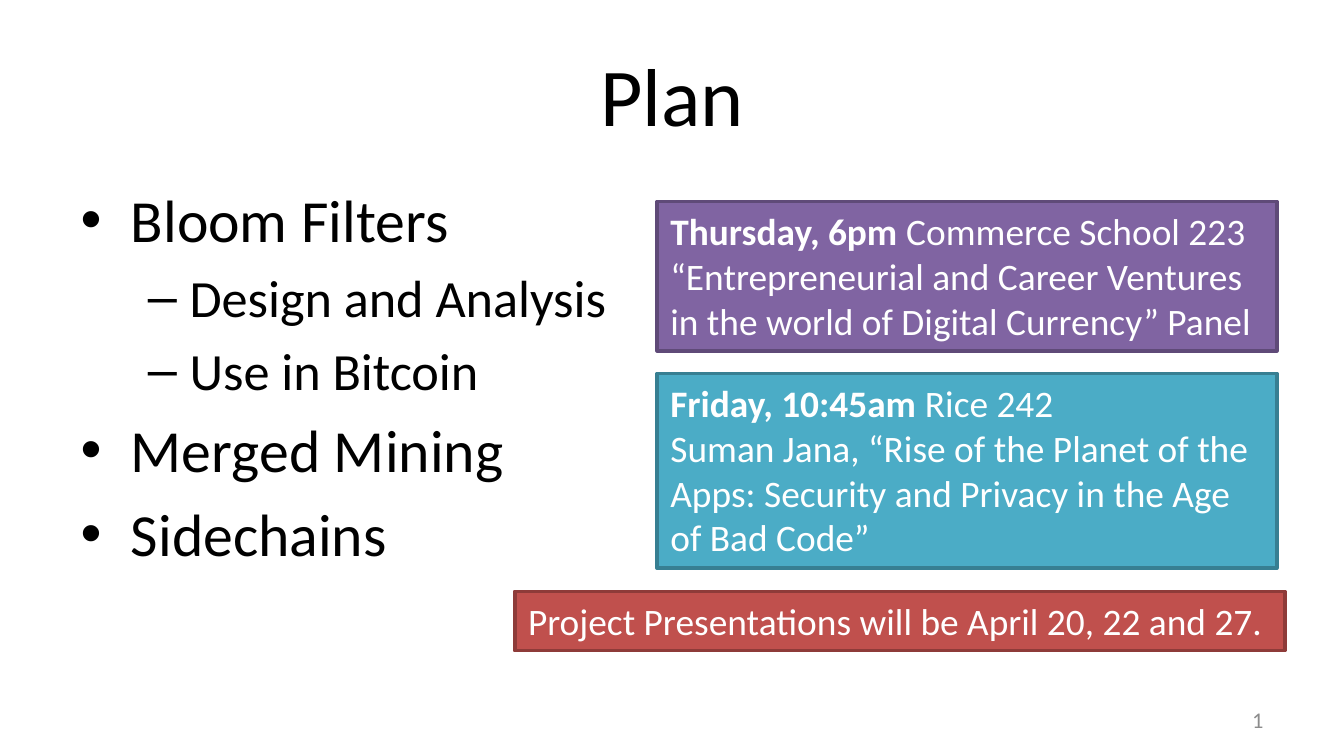
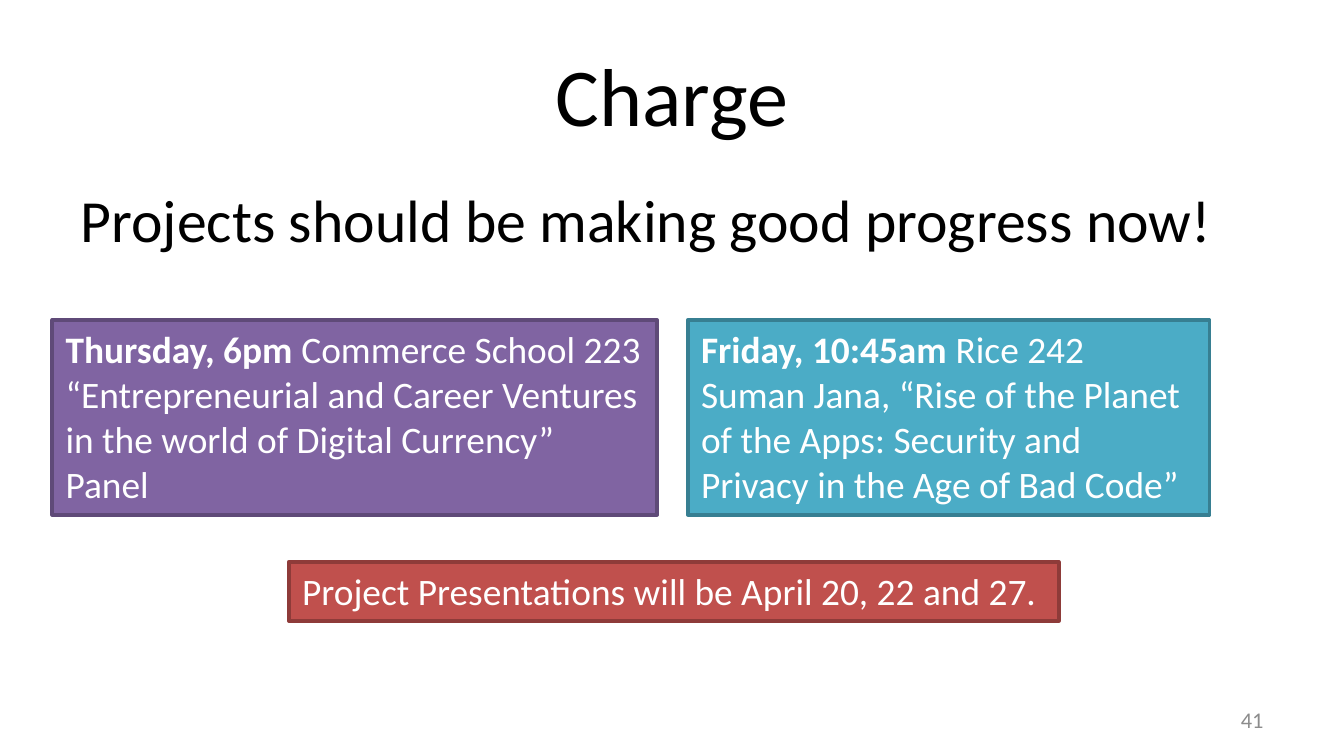
from lxml.etree import SubElement
from pptx import Presentation
from pptx.dml.color import RGBColor
from pptx.enum.shapes import MSO_SHAPE as Preset
from pptx.enum.text import MSO_ANCHOR as Anchor, MSO_AUTO_SIZE as AutoSize, PP_ALIGN as Align
from pptx.oxml.ns import qn
from pptx.util import Cm, Pt

FONT = "Calibri"
COLORS = {
    "text": "000000", "number": "8C8C8C", "white": "FFFFFF",
    "purple": "8064A2", "purple edge": "5F4A78",
    "teal": "4BACC6", "teal edge": "377F92",
    "red": "C0504D", "red edge": "8E3B39",
}
# Per list level: text size, left margin in cm, hanging indent in cm, bullet
LEVELS = [(32, 0.95, -0.95, "•"), (28, 2.06, -0.79, "–")]

# Announcements shown on both slides: lists of paragraphs of (text, bold) runs
PANEL = [[("Thursday, 6pm ", True), ("Commerce School 223", False)],
         [("“Entrepreneurial and Career Ventures in the world of Digital Currency” Panel", False)]]
TALK = [[("Friday, 10:45am ", True), ("Rice 242", False)],
        [("Suman Jana, “Rise of the Planet of the Apps: Security and Privacy "
          "in the Age of Bad Code”", False)]]
DATES = [[("Project Presentations will be April 20, 22 and 27.", False)]]


def color(name):
    return RGBColor.from_string(COLORS[name])


class Builder:
    def __init__(self):
        self.deck = Presentation()
        self.deck.slide_width, self.deck.slide_height = Cm(25.4), Cm(14.29)
        self.page = None

    def add_page(self, title, number):
        self.page = self.deck.slides.add_slide(self.deck.slide_layouts[1])
        box = self.page.shapes.title
        self.place(box, 1.27, 0.58, 22.86, 2.39)
        box.text_frame.auto_size = AutoSize.NONE
        box.text_frame.vertical_anchor = Anchor.MIDDLE
        para = box.text_frame.paragraphs[0]
        para.alignment = Align.CENTER
        self.add_span(para, title, 44, "text")
        self.add_number(number)

    def place(self, box, left, top, width, height):
        box.left, box.top, box.width, box.height = Cm(left), Cm(top), Cm(width), Cm(height)

    def add_span(self, para, text, size, tint, bold=False):
        span = para.add_run()
        span.text = text
        span.font.name, span.font.size, span.font.bold = FONT, Pt(size), bold
        span.font.color.rgb = color(tint)

    def paragraphs(self, frame, items):
        """Yield each item with its paragraph, reusing the first one."""
        for index, item in enumerate(items):
            yield frame.paragraphs[0] if index == 0 else frame.add_paragraph(), item

    def add_number(self, number):
        box = self.page.shapes.add_textbox(Cm(18.21), Cm(13.23), Cm(5.92), Cm(0.76))
        frame = box.text_frame
        frame.word_wrap, frame.vertical_anchor = True, Anchor.MIDDLE
        para = frame.paragraphs[0]
        para.alignment = Align.RIGHT
        self.add_span(para, str(number), 12, "number")

    def add_body(self, width, items, bullets=True):
        box = self.page.placeholders[1]
        self.place(box, 1.27, 3.33, width, 9.42)
        frame = box.text_frame
        frame.auto_size = AutoSize.NONE
        for index, (para, (level, text)) in enumerate(self.paragraphs(frame, items)):
            size, margin, indent, mark = LEVELS[level]
            para.level = level
            props = para._p.get_or_add_pPr()
            props.set("marL", str(Cm(margin if bullets else 0)))
            props.set("indent", str(Cm(indent if bullets else 0)))
            if bullets:
                SubElement(props, qn("a:buFont"), typeface="Arial")
                SubElement(props, qn("a:buChar"), char=mark)
            else:
                SubElement(props, qn("a:buNone"))
            para.space_before = Pt(0.2 * size if index else 0)
            self.add_span(para, text, size, "text")

    def add_card(self, tint, content, left, top, width, height, wrap=True):
        card = self.page.shapes.add_shape(
            Preset.RECTANGLE, Cm(left), Cm(top), Cm(width), Cm(height))
        card.shadow.inherit = False
        card.fill.solid()
        card.fill.fore_color.rgb = color(tint)
        card.line.color.rgb = color(f"{tint} edge")
        card.line.width = Pt(2)
        frame = card.text_frame
        frame.word_wrap, frame.vertical_anchor = wrap, Anchor.TOP
        frame.auto_size = AutoSize.SHAPE_TO_FIT_TEXT
        for para, spans in self.paragraphs(frame, content):
            para.alignment = Align.LEFT
            for text, bold in spans:
                self.add_span(para, text, 20, "white", bold)

    def add_dates(self, left, top):
        self.add_card("red", DATES, left, top, 14.55, 1.12, wrap=False)


def main():
    builder = Builder()

    # Plan: agenda beside the announcements
    builder.add_page("Plan", 1)
    builder.add_body(10.97, [(0, "Bloom Filters"), (1, "Design and Analysis"),
                             (1, "Use in Bitcoin"), (0, "Merged Mining"), (0, "Sidechains")])
    builder.add_card("purple", PANEL, 12.42, 3.81, 11.71, 2.82)
    builder.add_card("teal", TALK, 12.42, 7.06, 11.71, 3.68)
    builder.add_dates(9.73, 11.18)

    # Charge: announcements side by side
    builder.add_page("Charge", 41)
    builder.add_body(22.86, [(0, "Projects should be making good progress now!")], bullets=False)
    builder.add_card("purple", PANEL, 0.99, 6.05, 11.43, 3.68)
    builder.add_card("teal", TALK, 13, 6.05, 9.86, 3.68)
    builder.add_dates(5.46, 10.62)

    builder.deck.save("out.pptx")


if __name__ == "__main__":
    main()
